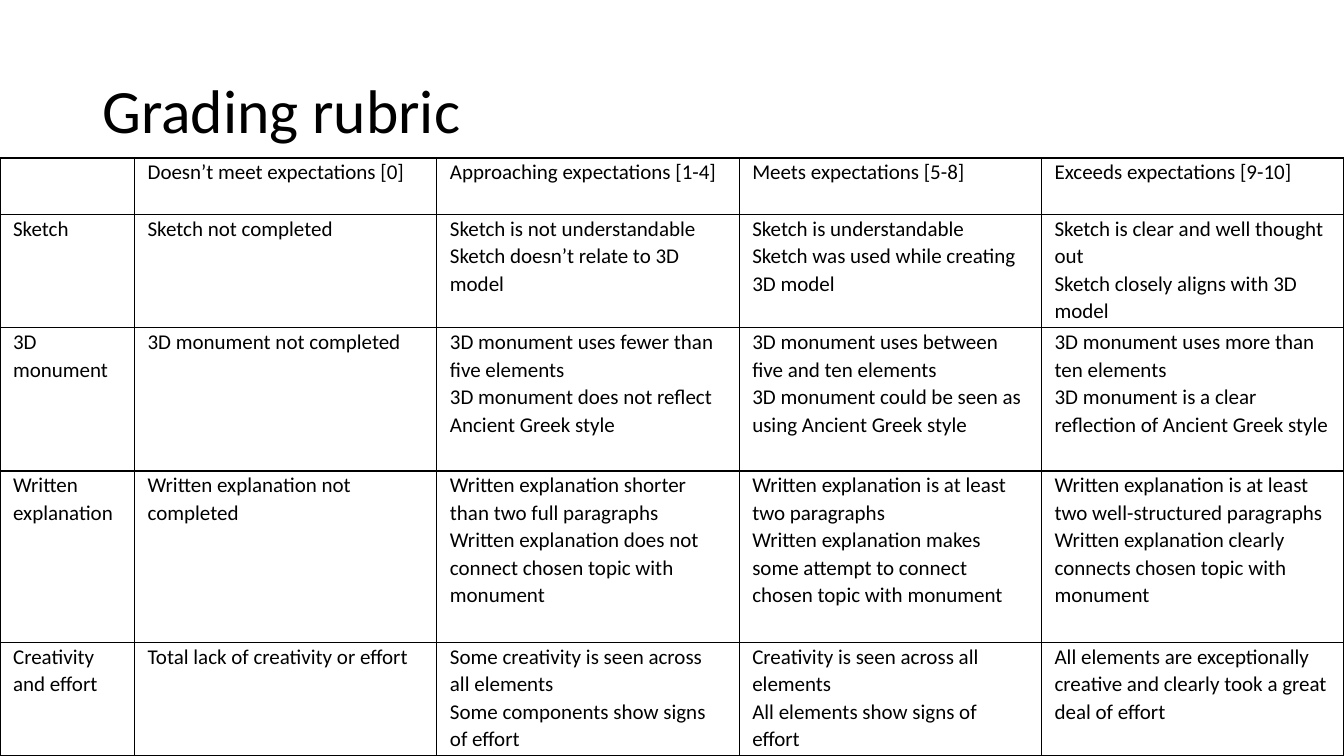
from lxml.etree import SubElement
from pptx import Presentation
from pptx.dml.color import RGBColor
from pptx.enum.text import MSO_ANCHOR as Anchor
from pptx.oxml import parse_xml
from pptx.oxml.ns import nsdecls, qn
from pptx.util import Cm, Pt

FONT = "Calibri"
BLACK = "000000"
SLIDE_WIDTH, SLIDE_HEIGHT = 33.87, 19.05
LABEL_WIDTH = 3.39
ROW_HEIGHTS = [1.42, 2.86, 3.61, 4.32, 2.86]

# Each cell is a list of paragraphs
RUBRIC = [
    [[], ["Doesn’t meet expectations [0]"], ["Approaching expectations [1-4]"],
     ["Meets expectations [5-8]"], ["Exceeds expectations [9-10]"]],
    [["Sketch"], ["Sketch not completed"],
     ["Sketch is not understandable", "Sketch doesn’t relate to 3D model"],
     ["Sketch is understandable", "Sketch was used while creating 3D model"],
     ["Sketch is clear and well thought out", "Sketch closely aligns with 3D model"]],
    [["3D monument"], ["3D monument not completed"],
     ["3D monument uses fewer than five elements",
      "3D monument does not reflect Ancient Greek style"],
     ["3D monument uses between five and ten elements",
      "3D monument could be seen as using Ancient Greek style"],
     ["3D monument uses more than ten elements",
      "3D monument is a clear reflection of Ancient Greek style"]],
    [["Written explanation"], ["Written explanation not completed"],
     ["Written explanation shorter than two full paragraphs",
      "Written explanation does not connect chosen topic with monument"],
     ["Written explanation is at least two paragraphs",
      "Written explanation makes some attempt to connect chosen topic with monument"],
     ["Written explanation is at least two well-structured paragraphs",
      "Written explanation clearly connects chosen topic with monument"]],
    [["Creativity and effort"], ["Total lack of creativity or effort"],
     ["Some creativity is seen across all elements",
      "Some components show signs of effort"],
     ["Creativity is seen across all elements", "All elements show signs of effort"],
     ["All elements are exceptionally creative and clearly took a great deal of effort"]],
]


def color(value):
    return RGBColor.from_string(value)


def write(text_frame, texts, size, line_spacing):
    for index, text in enumerate(texts):
        paragraph = text_frame.paragraphs[0] if index == 0 else text_frame.add_paragraph()
        paragraph.line_spacing = line_spacing
        paragraph.space_before = paragraph.space_after = Pt(0)
        run = paragraph.add_run()
        run.text = text
        run.font.name = FONT
        run.font.size = Pt(size)
        run.font.color.rgb = color(BLACK)


def add_borders(cell, value, width):
    properties = cell._tc.get_or_add_tcPr()
    for index, side in enumerate(("lnL", "lnR", "lnT", "lnB")):
        line = parse_xml(f'<a:{side} {nsdecls("a")} w="{Pt(width)}"/>')
        fill = SubElement(line, qn("a:solidFill"))
        SubElement(fill, qn("a:srgbClr"), val=value)
        properties.insert(index, line)


def add_title(slide, left, top, width, height):
    box = slide.shapes.add_textbox(Cm(left), Cm(top), Cm(width), Cm(height))
    box.text_frame.word_wrap = True
    box.text_frame.vertical_anchor = Anchor.MIDDLE
    write(box.text_frame, ["Grading rubric"], 44, 0.9)


def add_rubric(slide, left, top, width, height):
    columns = len(RUBRIC[0])
    table = slide.shapes.add_table(len(RUBRIC), columns, Cm(left), Cm(top),
                                   Cm(width), Cm(height)).table
    table.first_row = table.horz_banding = False

    # Narrow label column, then equal grade columns
    grade_width = (width - LABEL_WIDTH) / (columns - 1)
    for index, column in enumerate(table.columns):
        column.width = Cm(grade_width if index else LABEL_WIDTH)
    for row, row_height in zip(table.rows, ROW_HEIGHTS):
        row.height = Cm(row_height * height / sum(ROW_HEIGHTS))

    # Cell text, fill and borders
    for row, row_texts in zip(table.rows, RUBRIC):
        for cell, texts in zip(row.cells, row_texts):
            cell.margin_left = cell.margin_right = Cm(0.33)
            cell.margin_top = cell.margin_bottom = Cm(0)
            cell.fill.background()
            add_borders(cell, BLACK, 1)
            write(cell.text_frame, texts, 15, 1.07)


def main():
    presentation = Presentation()
    presentation.slide_width = Cm(SLIDE_WIDTH)
    presentation.slide_height = Cm(SLIDE_HEIGHT)
    slide = presentation.slides.add_slide(presentation.slide_layouts[6])
    add_title(slide, 2.33, 1.01, 29.21, 3.68)
    table_top = SLIDE_HEIGHT - sum(ROW_HEIGHTS)
    add_rubric(slide, 0, table_top, SLIDE_WIDTH, SLIDE_HEIGHT - table_top)
    presentation.save("out.pptx")


if __name__ == "__main__":
    main()
